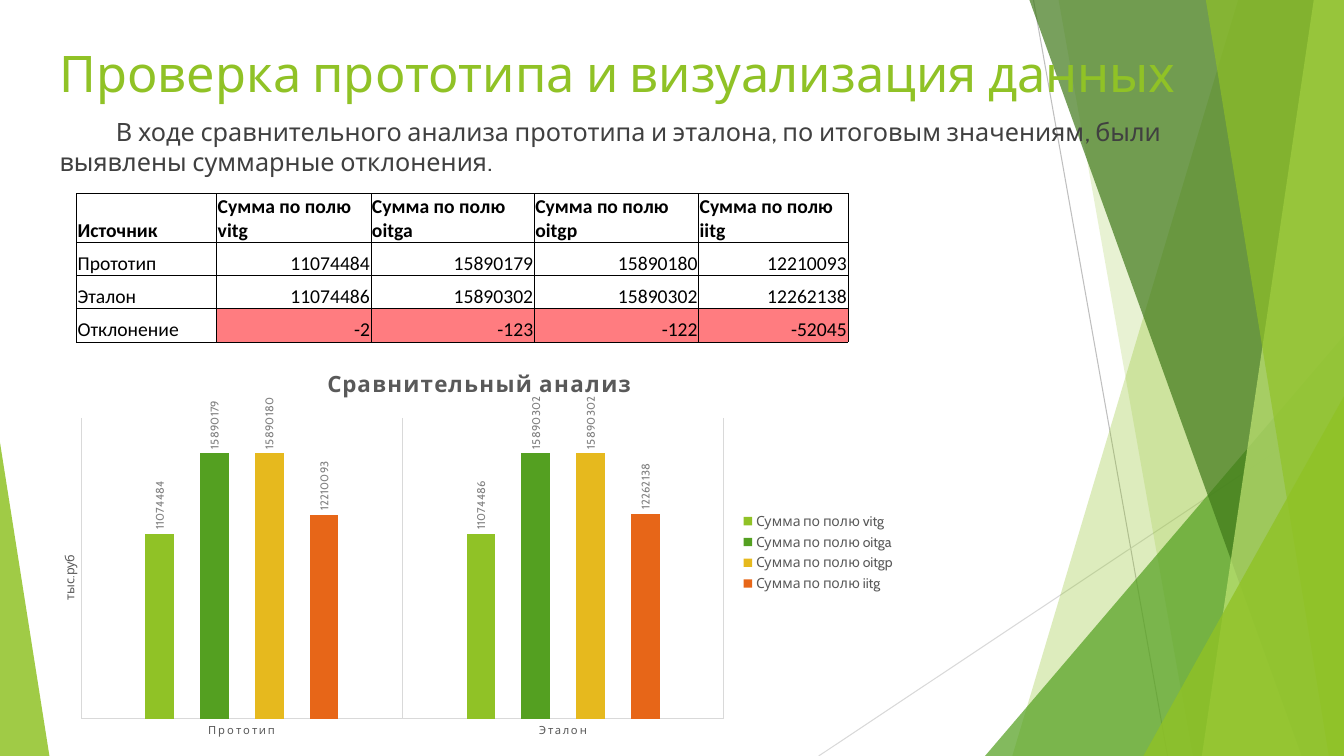
from dataclasses import dataclass

from lxml.etree import SubElement
from pptx import Presentation
from pptx.chart.data import CategoryChartData
from pptx.dml.color import RGBColor
from pptx.enum.chart import XL_CHART_TYPE, XL_LABEL_POSITION, XL_LEGEND_POSITION, XL_TICK_MARK
from pptx.enum.shapes import MSO_CONNECTOR, MSO_SHAPE
from pptx.enum.text import MSO_ANCHOR, MSO_AUTO_SIZE, PP_ALIGN
from pptx.oxml.ns import qn
from pptx.util import Inches, Pt


@dataclass(frozen=True)
class Theme:
    font: str = "Cabin"
    table_font: str = "Calibri"
    lime: str = "90C226"
    green: str = "54A021"
    dark_green: str = "3F7819"
    pale_lime: str = "C0E474"
    yellow: str = "E6B91E"
    orange: str = "E76618"
    alert: str = "FF7C80"
    body: str = "404040"
    chart_text: str = "595959"
    label: str = "808080"
    rule: str = "D9D9D9"
    dark_rule: str = "BFBFBF"
    black: str = "000000"
    title_size: float = 36
    body_size: float = 18
    table_size: float = 14
    chart_title_size: float = 16
    legend_size: float = 10
    axis_title_size: float = 9
    small_size: float = 8


@dataclass(frozen=True)
class Ray:
    start: tuple[float, float]
    end: tuple[float, float]
    color: str


@dataclass(frozen=True)
class Band:
    """Quadrilateral over the full height, given by its x at top and bottom."""
    top: tuple[float, float]
    bottom: tuple[float, float]
    color: str
    opacity: int


@dataclass(frozen=True)
class Corner:
    """Triangle standing on the bottom edge, with its apex at one side."""
    left: float
    top: float
    width: float
    apex: float
    color: str
    opacity: int


T = Theme()
WIDTH, HEIGHT = 13.33, 7.5
RAYS = [
    Ray((10.25, 0), (11.58, HEIGHT), T.dark_rule),
    Ray((WIDTH, 4.03), (8.12, HEIGHT), T.rule),
]
FACETS = [
    Band((12.28, WIDTH), (10.04, WIDTH), T.lime, 30),
    Band((10.5, WIDTH), (11.83, WIDTH), T.lime, 20),
    Corner(9.77, 3.33, 3.56, 1, T.green, 72),
    Band((10.21, WIDTH), (12.91, WIDTH), T.dark_green, 70),
    Band((13.03, WIDTH), (11.92, WIDTH), T.pale_lime, 70),
    Band((11.96, WIDTH), (13.18, WIDTH), T.lime, 65),
    Corner(11.34, 3.93, 1.99, 1, T.lime, 80),
    Corner(0, 4.39, 0.49, 0, T.lime, 85),
]
FIELDS = [f"Сумма по полю {name}" for name in ("vitg", "oitga", "oitgp", "iitg")]
TOTALS = {
    "Прототип": [11074484, 15890179, 15890180, 12210093],
    "Эталон": [11074486, 15890302, 15890302, 12262138],
}
DEVIATION = [a - b for a, b in zip(*TOTALS.values())]
COL_WIDTHS = [1.39, 1.53, 1.62, 1.63, 1.48]
ROW_HEIGHTS = [0.41, 0.33, 0.33, 0.33]


def rgb(color: str) -> RGBColor:
    return RGBColor.from_string(color)


def set_font(font, size: float, color: str, name: str = T.font, bold: bool = False) -> None:
    font.name, font.size, font.bold = name, Pt(size), bold
    font.color.rgb = rgb(color)


def draw_ray(s, ray: Ray) -> None:
    line = s.shapes.add_connector(MSO_CONNECTOR.STRAIGHT, *map(Inches, ray.start + ray.end))
    line.line.color.rgb = rgb(ray.color)
    line.line.width = Pt(0.75)
    SubElement(line.element.spPr, qn("a:effectLst"))


def draw_facet(s, facet: Band | Corner) -> None:
    if isinstance(facet, Band):
        (x1, x2), (x3, x4) = facet.top, facet.bottom
        points = [(Inches(x), Inches(y)) for x, y in
                  ((x1, 0), (x2, 0), (x4, HEIGHT), (x3, HEIGHT))]
        builder = s.shapes.build_freeform(*points[0])
        builder.add_line_segments(points[1:], close=True)
        sp = builder.convert_to_shape()
    else:
        sp = s.shapes.add_shape(
            MSO_SHAPE.ISOSCELES_TRIANGLE, Inches(facet.left), Inches(facet.top),
            Inches(facet.width), Inches(HEIGHT - facet.top))
        sp.adjustments[0] = facet.apex
    sp.shadow.inherit = False
    sp.line.fill.background()
    sp.fill.solid()
    sp.fill.fore_color.rgb = rgb(facet.color)
    color = sp.element.find(".//" + qn("a:srgbClr"))
    SubElement(color, qn("a:alpha"), val=str(facet.opacity * 1000))


def fill_placeholder(sp, box: tuple[float, ...], text: str, size: float, color: str):
    sp.left, sp.top, sp.width, sp.height = map(Inches, box)
    tf = sp.text_frame
    tf.text, tf.word_wrap = text, True
    tf.auto_size, tf.vertical_anchor = MSO_AUTO_SIZE.NONE, MSO_ANCHOR.TOP
    p = tf.paragraphs[0]
    p.alignment = PP_ALIGN.LEFT
    set_font(p.font, size, color)
    # Bring the text in front of the facets
    sp.element.getparent().append(sp.element)
    return p


def format_cell(cell, text: str, bold: bool, right: bool, fill: str | None) -> None:
    cell.text = text
    cell.vertical_anchor = MSO_ANCHOR.BOTTOM
    cell.margin_left = cell.margin_right = cell.margin_top = Inches(0.01)
    cell.margin_bottom = 0
    p = cell.text_frame.paragraphs[0]
    p.alignment = PP_ALIGN.RIGHT if right else PP_ALIGN.LEFT
    set_font(p.font, T.table_size, T.black, T.table_font, bold)
    for side in ("lnL", "lnR", "lnT", "lnB"):
        ln = SubElement(cell._tc.get_or_add_tcPr(), qn(f"a:{side}"), w=str(Pt(0.5)))
        SubElement(SubElement(ln, qn("a:solidFill")), qn("a:srgbClr"), val=T.black)
    if fill:
        cell.fill.solid()
        cell.fill.fore_color.rgb = rgb(fill)
    else:
        cell.fill.background()


def add_totals_table(s) -> None:
    rows = [["Источник", *FIELDS], *([k, *v] for k, v in TOTALS.items()),
            ["Отклонение", *DEVIATION]]
    table = s.shapes.add_table(
        len(rows), len(COL_WIDTHS), Inches(0.76), Inches(1.92),
        Inches(sum(COL_WIDTHS)), Inches(sum(ROW_HEIGHTS))).table
    table.first_row = table.horz_banding = False
    for col, width in zip(table.columns, COL_WIDTHS):
        col.width = Inches(width)
    for i, (row, height) in enumerate(zip(rows, ROW_HEIGHTS)):
        table.rows[i].height = Inches(height)
        for j, value in enumerate(row):
            number = isinstance(value, int)
            alert = T.alert if number and i == len(rows) - 1 else None
            format_cell(table.cell(i, j), str(value), i == 0, number, alert)


def set_layout(element, index: int, **values: float | str) -> None:
    for old in element.findall(qn("c:layout")):
        element.remove(old)
    layout = SubElement(element, qn("c:layout"))
    element.insert(index, layout)
    manual = SubElement(layout, qn("c:manualLayout"))
    for name, value in values.items():
        SubElement(manual, qn(f"c:{name}"), val=str(value))


def set_title(title, text: str, size: float, bold: bool, x: float, y: float):
    title.text_frame.text = text
    p = title.text_frame.paragraphs[0]
    set_font(p.font, size, T.chart_text, bold=bold)
    set_layout(title.element, 1, xMode="edge", yMode="edge", x=x, y=y)
    return p


def add_comparison_chart(s) -> None:
    data = CategoryChartData()
    data.categories = list(TOTALS)
    for field, values in zip(FIELDS, zip(*TOTALS.values())):
        data.add_series(field, values)
    chart = s.shapes.add_chart(XL_CHART_TYPE.COLUMN_CLUSTERED, Inches(0.49), Inches(3.46),
                               Inches(8.49), Inches(4.04), data).chart
    set_font(chart.font, T.legend_size, T.black)
    p = set_title(chart.chart_title, "Сравнительный анализ", T.chart_title_size, True, 0.32, 0.04)
    p.runs[0].font._element.set("spc", "100")
    set_layout(chart.element.find(".//" + qn("c:plotArea")), 0, layoutTarget="inner",
               xMode="edge", yMode="edge", x=0.037, y=0.17, w=0.751, h=0.739)

    # Columns and their upright labels
    plot = chart.plots[0]
    plot.gap_width, plot.overlap, plot.vary_by_categories = 444, -90, False
    for series, color in zip(plot.series, (T.lime, T.green, T.yellow, T.orange)):
        series.format.fill.solid()
        series.format.fill.fore_color.rgb = rgb(color)
        labels = series.data_labels
        labels.show_value, labels.position = True, XL_LABEL_POSITION.OUTSIDE_END
        set_font(labels.font, T.small_size, T.label)
    for body in chart.element.iterfind(f".//{qn('c:dLbls')}//{qn('a:bodyPr')}"):
        body.set("rot", "-5400000")
        body.set("vert", "horz")

    # Axes
    cat, val = chart.category_axis, chart.value_axis
    cat.major_tick_mark = cat.minor_tick_mark = XL_TICK_MARK.NONE
    cat.has_major_gridlines = True
    for line in (cat.format.line, cat.major_gridlines.format.line):
        line.color.rgb, line.width = rgb(T.rule), Pt(0.75)
    set_font(cat.tick_labels.font, T.small_size, T.chart_text)
    chart.element.find(f".//{qn('c:catAx')}//{qn('a:defRPr')}").set("spc", "120")
    val.minimum_scale, val.maximum_scale = 0, 18_000_000
    val.has_major_gridlines = val.visible = False
    set_title(val.axis_title, "тыс.руб", T.axis_title_size, False, 0.01, 0.5)
    body = val.axis_title.element.find(".//" + qn("a:bodyPr"))
    body.set("rot", "-5400000")
    body.set("vert", "horz")

    # Legend
    chart.has_legend = True
    chart.legend.position = XL_LEGEND_POSITION.RIGHT
    chart.legend.include_in_layout = False
    set_font(chart.legend.font, T.legend_size, T.chart_text)


def main() -> None:
    prs = Presentation()
    prs.slide_width, prs.slide_height = Inches(WIDTH), Inches(HEIGHT)
    s = prs.slides.add_slide(prs.slide_layouts[1])

    # Background facets
    for ray in RAYS:
        draw_ray(s, ray)
    for facet in FACETS:
        draw_facet(s, facet)

    # Title and introduction
    fill_placeholder(s.shapes.title, (0.49, 0.37, 11.5, 1.39),
                     "Проверка прототипа и визуализация данных", T.title_size, T.lime)
    p = fill_placeholder(
        s.placeholders[1], (0.49, 1.1, 11.93, 6.2),
        "В ходе сравнительного анализа прототипа и эталона, по итоговым значениям, "
        "были выявлены суммарные отклонения.", T.body_size, T.body)
    p.space_before = Pt(10)
    pPr = p._p.get_or_add_pPr()
    pPr.set("marL", "0")
    pPr.set("indent", str(Inches(0.56)))
    pPr.insert_element_before(pPr.makeelement(qn("a:buNone")), "a:tabLst", "a:defRPr", "a:extLst")

    # Chart and table
    add_comparison_chart(s)
    add_totals_table(s)
    prs.save("out.pptx")


if __name__ == "__main__":
    main()
